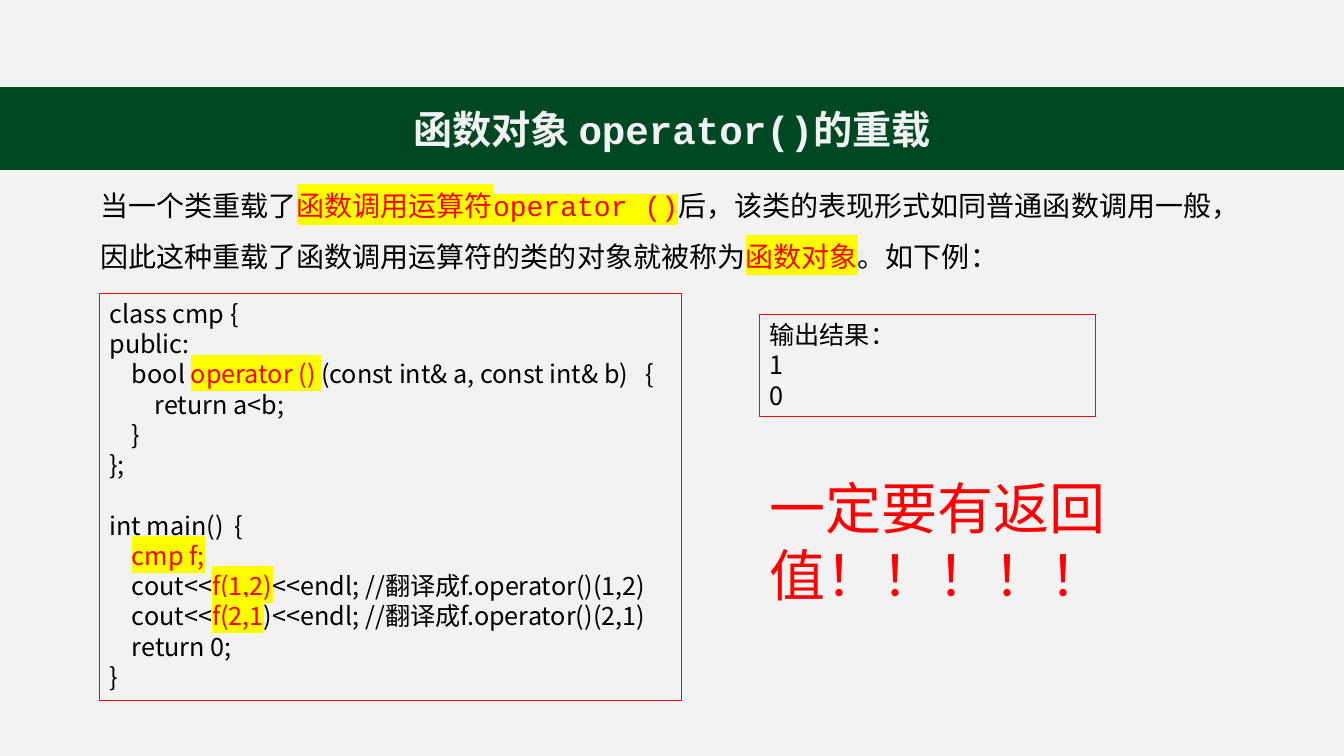
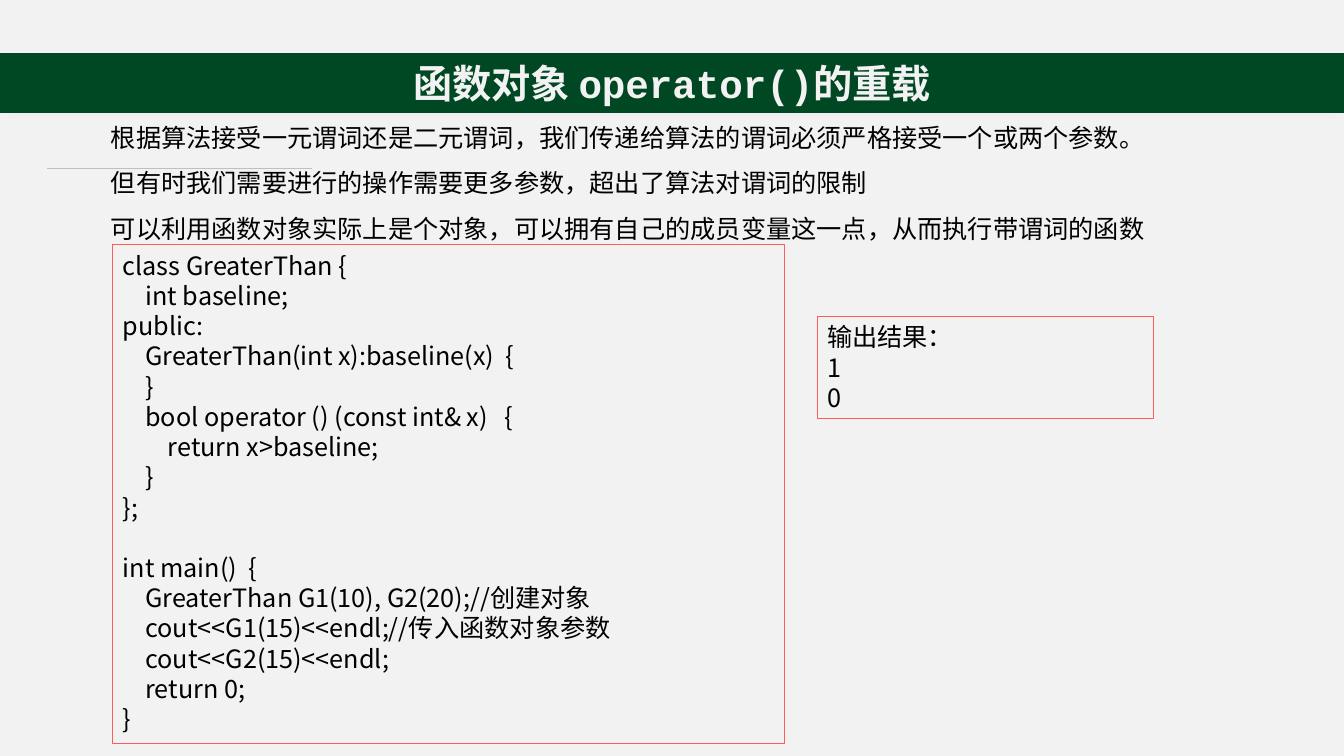
"""Build two slides on overloading operator() for function objects."""
import lxml.etree
import pptx
import pptx.dml.color
import pptx.enum.shapes
import pptx.enum.text
import pptx.oxml
import pptx.oxml.ns
import pptx.util


class Theme:
    paper = pptx.dml.color.RGBColor.from_string("F2F2F2")
    green = pptx.dml.color.RGBColor.from_string("004723")
    rule = pptx.dml.color.RGBColor.from_string("BFBFBF")
    ink = pptx.dml.color.RGBColor.from_string("000000")
    red = pptx.dml.color.RGBColor.from_string("FF0000")
    coral = pptx.dml.color.RGBColor.from_string("FF5D5D")
    marker = "FFFF00"
    mono = "Courier New"
    sans = "Noto Sans CJK SC"
    title_size = 28
    lead_size = 20
    text_size = 18
    warning_size = 40


TITLE = "函数对象 operator()的重载"
OUTPUT = ["输出结果：", "1", "0"]
MARK = "¦"

PAGES = [
    {
        "title_at": (0, 11.6, 100, 10.8),
        "body_at": (6.7, 22.1, 85.2, 14.1),
        "body_size": Theme.lead_size,
        "body": [
            "当一个类重载了¦函数调用运算符operator ()¦后，该类的表现形式如同普通函数调用一般，"
            "因此这种重载了函数调用运算符的类的对象就被称为¦函数对象¦。如下例：",
        ],
        "outline": Theme.red,
        "output_at": (56.5, 41.6, 25, 13.5),
        "code_at": (7.4, 38.8, 43.3, 53.9),
        "code": [
            "class cmp {",
            "public:",
            "    bool ¦operator () ¦(const int& a, const int& b)   {",
            "        return a<b;",
            "    }",
            "};",
            "",
            "int main()  {",
            "    ¦cmp f;¦",
            "    cout<<¦f(1,2)¦<<endl; //翻译成f.operator()(1,2)",
            "    cout<<¦f(2,1¦)<<endl; //翻译成f.operator()(2,1)",
            "    return 0;",
            "}",
        ],
        "warning": "一定要有返回值！！！！！",
        "warning_at": (56.5, 62, 37, 19.3),
    },
    {
        "title_at": (0, 7.1, 100, 7.7),
        "body_at": (7.5, 13.5, 89.5, 18.9),
        "body_size": Theme.text_size,
        "body": [
            "根据算法接受一元谓词还是二元谓词，我们传递给算法的谓词必须严格接受一个或两个参数。",
            "但有时我们需要进行的操作需要更多参数，超出了算法对谓词的限制",
            "可以利用函数对象实际上是个对象，可以拥有自己的成员变量这一点，从而执行带谓词的函数",
        ],
        "outline": Theme.coral,
        "output_at": (60.8, 41.9, 25, 13.5),
        "code_at": (8.4, 32.4, 50, 66),
        "code": [
            "class GreaterThan {",
            "    int baseline;",
            "public:",
            "    GreaterThan(int x):baseline(x)  {",
            "    }",
            "    bool operator () (const int& x)   {",
            "        return x>baseline;",
            "    }",
            "};",
            "",
            "int main()  {",
            "    GreaterThan G1(10), G2(20);//创建对象",
            "    cout<<G1(15)<<endl;//传入函数对象参数",
            "    cout<<G2(15)<<endl;",
            "    return 0;",
            "}",
        ],
    },
]

deck = pptx.Presentation()
deck.slide_width = pptx.util.Inches(13.33)
deck.slide_height = pptx.util.Inches(7.5)
background = deck.slide_master.background.fill
background.solid()
background.fore_color.rgb = Theme.paper


def share(left, top, width, height):
    """Turn percentages of the slide into lengths."""
    across, down = deck.slide_width / 100, deck.slide_height / 100
    return [round(left * across), round(top * down), round(width * across), round(height * down)]


def write(box, lines, size, name, color, align=None, spacing=1.0, bold=False):
    """Fill a box with paragraphs, highlighting the marked spans."""
    frame = box.text_frame
    frame.word_wrap = True
    frame.auto_size = pptx.enum.text.MSO_AUTO_SIZE.NONE
    for number, line in enumerate(lines):
        para = frame.add_paragraph() if number else frame.paragraphs[0]
        properties = para._p.get_or_add_pPr()
        properties.set("marL", "0")
        properties.set("indent", "0")
        lxml.etree.SubElement(properties, pptx.oxml.ns.qn("a:buNone"))
        para.alignment = align
        para.line_spacing = spacing
        para.space_before = pptx.util.Pt(0)
        para.font.size = pptx.util.Pt(size)
        para.font.bold = bold
        para.font.name = name
        para.font.color.rgb = color
        defaults = properties.find(pptx.oxml.ns.qn("a:defRPr"))
        lxml.etree.SubElement(defaults, pptx.oxml.ns.qn("a:ea"), typeface=Theme.sans)
        for index, text in enumerate(line.split(MARK)):
            if not text:
                continue
            span = para.add_run()
            span.text = text
            if index % 2:
                span.font.color.rgb = Theme.red
                highlight = lxml.etree.SubElement(span._r.get_or_add_rPr(), pptx.oxml.ns.qn("a:highlight"))
                lxml.etree.SubElement(highlight, pptx.oxml.ns.qn("a:srgbClr"), val=Theme.marker)


for content in PAGES:
    page = deck.slides.add_slide(deck.slide_layouts[1])
    title, body = page.placeholders

    strip = page.shapes.add_shape(pptx.enum.shapes.MSO_SHAPE.RECTANGLE, *share(0, 0, 100, 11.6))
    strip.fill.solid()
    strip.fill.fore_color.rgb = Theme.paper
    strip.line.fill.background()
    strip.shadow.inherit = False
    effects = strip._element.spPr.find(pptx.oxml.ns.qn("a:effectLst"))
    effects.append(pptx.oxml.parse_xml(
        '<a:outerShdw xmlns:a="http://schemas.openxmlformats.org/drawingml/2006/main" '
        'blurRad="228600" dist="50800" dir="5400000" algn="t" rotWithShape="0">'
        '<a:srgbClr val="000000"><a:alpha val="29000"/></a:srgbClr></a:outerShdw>'))

    left, top, width, height = share(3.5, 22.3, 19.7, 0)
    rule = page.shapes.add_connector(
        pptx.enum.shapes.MSO_CONNECTOR.STRAIGHT, left, top, left + width, top)
    rule.line.color.rgb = Theme.rule
    rule.line.width = pptx.util.Pt(0.5)
    lxml.etree.SubElement(rule._element.spPr, pptx.oxml.ns.qn("a:effectLst"))
    for depth, shape in enumerate([strip, rule], start=2):
        page.shapes._spTree.insert(depth, shape._element)

    title.left, title.top, title.width, title.height = share(*content["title_at"])
    title.fill.solid()
    title.fill.fore_color.rgb = Theme.green
    title.line.color.rgb = Theme.green
    title.line.width = pptx.util.Pt(1)
    title.text_frame.vertical_anchor = pptx.enum.text.MSO_ANCHOR.MIDDLE
    write(title, [TITLE], Theme.title_size, Theme.mono, Theme.paper,
          align=pptx.enum.text.PP_ALIGN.CENTER, bold=True)

    body.left, body.top, body.width, body.height = share(*content["body_at"])
    write(body, content["body"], content["body_size"], Theme.mono, Theme.ink, spacing=1.5)

    for lines, place in [(OUTPUT, content["output_at"]), (content["code"], content["code_at"])]:
        box = page.shapes.add_textbox(*share(*place))
        box.line.color.rgb = content["outline"]
        box.line.width = pptx.util.Pt(0.75)
        write(box, lines, Theme.text_size, Theme.sans, Theme.ink)

    if "warning" in content:
        box = page.shapes.add_textbox(*share(*content["warning_at"]))
        write(box, [content["warning"]], Theme.warning_size, Theme.sans, Theme.red)

deck.save("out.pptx")
